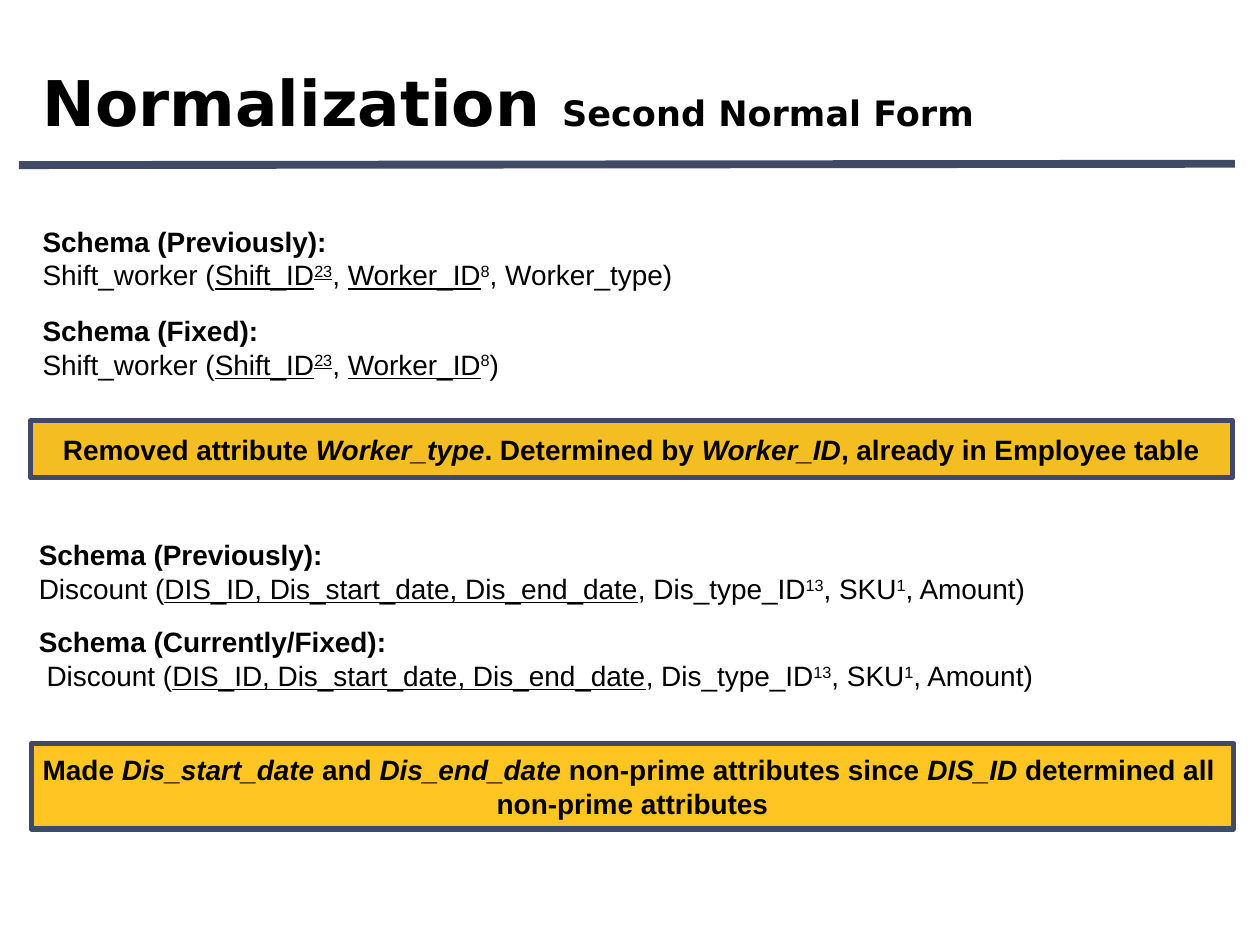
import pptx
import pptx.dml.color
import pptx.enum.shapes
import pptx.enum.text
import pptx.oxml.ns
import pptx.util
from lxml import etree

RGBColor = pptx.dml.color.RGBColor
Anchor = pptx.enum.text.MSO_ANCHOR
Align = pptx.enum.text.PP_ALIGN

BLACK = RGBColor(0x00, 0x00, 0x00)
SLATE = RGBColor(0x40, 0x49, 0x65)
GOLD = RGBColor(0xF4, 0xBD, 0x22)
AMBER = RGBColor(0xFF, 0xC6, 0x23)


class SchemaSlide:
    """Style and current slide; lengths are percentages of the slide's size."""

    heading_font = "DejaVu Sans"
    body_font = "Arial"
    body_size = 16

    def __init__(self, deck):
        self.width, self.height = deck.slide_width, deck.slide_height
        self.slide = deck.slides.add_slide(deck.slide_layouts[5])

    def box(self, left, top, width, height):
        return (self.x(left), self.y(top), self.x(width), self.y(height))

    def x(self, share):
        return round(self.width * share / 100)

    def y(self, share):
        return round(self.height * share / 100)

    def add_run(self, paragraph, text, marks, font_name, size):
        """Marks: b bold, i italic, u underlined, s superscript."""
        run = paragraph.add_run()
        run.text = text
        font = run.font
        font.name, font.size = font_name, pptx.util.Pt(size)
        font.color.rgb = BLACK
        font.bold, font.italic = "b" in marks, "i" in marks
        font.underline = "u" in marks
        if "s" in marks:
            run._r.get_or_add_rPr().set("baseline", "30000")

    def fill_text(self, frame, lines, align):
        frame.word_wrap = True
        for number, line in enumerate(lines):
            paragraph = frame.add_paragraph() if number else frame.paragraphs[0]
            paragraph.alignment = align
            for text, marks in line:
                self.add_run(paragraph, text, marks, self.body_font, self.body_size)

    def title(self, place, parts):
        heading = self.slide.shapes.title
        heading.left, heading.top, heading.width, heading.height = self.box(*place)
        frame = heading.text_frame
        frame.word_wrap = True
        frame.vertical_anchor = Anchor.MIDDLE
        paragraph = frame.paragraphs[0]
        paragraph.alignment = Align.LEFT
        for text, size in parts:
            self.add_run(paragraph, text, "b", self.heading_font, size)

    def rule(self, start, end):
        line = self.slide.shapes.add_connector(
            pptx.enum.shapes.MSO_CONNECTOR.STRAIGHT,
            self.x(start[0]), self.y(start[1]), self.x(end[0]), self.y(end[1]))
        line.line.color.rgb = SLATE
        line.line.width = pptx.util.Pt(4.5)
        etree.SubElement(line._element.spPr, pptx.oxml.ns.qn("a:effectLst"))

    def schema(self, left, top, label, relation):
        box = self.slide.shapes.add_textbox(*self.box(left, top, 96.4, 9))
        self.fill_text(box.text_frame, [[(label, "b")], relation], Align.LEFT)

    def callout(self, place, color, lines):
        bar = self.slide.shapes.add_shape(
            pptx.enum.shapes.MSO_SHAPE.RECTANGLE, *self.box(*place))
        bar.shadow.inherit = False
        bar.fill.solid()
        bar.fill.fore_color.rgb = color
        bar.line.color.rgb = SLATE
        bar.line.width = pptx.util.Pt(3)
        frame = bar.text_frame
        frame.vertical_anchor = Anchor.MIDDLE
        frame.margin_left = frame.margin_right = pptx.util.Inches(0.05)
        self.fill_text(frame, lines, Align.CENTER)


def main():
    deck = pptx.Presentation()
    deck.slide_width = pptx.util.Inches(10)
    deck.slide_height = pptx.util.Inches(7.5)
    page = SchemaSlide(deck)

    # Heading and rule
    page.rule((1.5, 17.47), (98, 17.33))
    page.title((2.4, 6, 80.4, 9.47),
               [("Normalization ", 36), ("Second Normal Form", 20)])

    # Shift worker schemas
    shift_keys = [("Shift_worker (", ""), ("Shift_ID", "u"), ("23", "us"),
                  (", ", ""), ("Worker_ID", "u"), ("8", "s")]
    page.schema(2.4, 23.07, "Schema (Previously):",
                shift_keys + [(", Worker_type)", "")])
    page.schema(2.4, 32.53, "Schema (Fixed):", shift_keys + [(")", "")])
    page.callout((2.4, 44.53, 95.4, 6), GOLD, [
        [("Removed attribute ", "b"), ("Worker_type", "bi"),
         (". Determined by ", "b"), ("Worker_ID", "bi"),
         (", already in Employee table", "b")]])

    # Discount schemas
    discount_columns = [("DIS_ID, Dis_start_date, Dis_end_date", "u"),
                        (", Dis_type_ID", ""), ("13", "s"), (", SKU", ""),
                        ("1", "s"), (", Amount)", "")]
    page.schema(2.1, 56.27, "Schema (Previously):",
                [("Discount (", "")] + discount_columns)
    page.schema(2.1, 65.47, "Schema (Currently/Fixed):",
                [(" Discount (", "")] + discount_columns)
    page.callout((2.5, 78.67, 95.4, 9.07), AMBER, [
        [("Made ", "b"), ("Dis_start_date", "bi"), (" and ", "b"),
         ("Dis_end_date", "bi"), (" non-prime attributes since ", "b"),
         ("DIS_ID", "bi"), (" determined all ", "b")],
        [("non-prime attributes", "b")]])

    deck.save("out.pptx")


if __name__ == "__main__":
    main()
